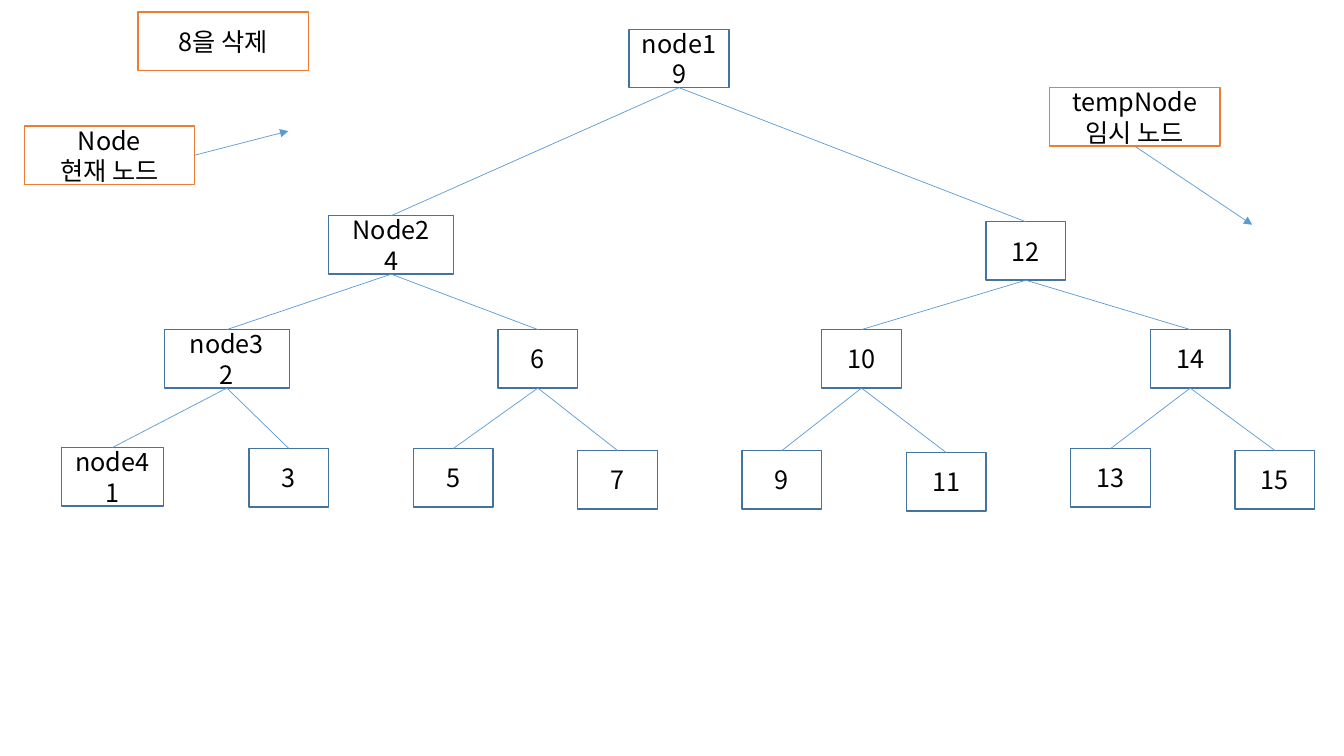
from dataclasses import dataclass

from lxml import etree
from pptx import Presentation
from pptx.dml.color import RGBColor
from pptx.enum.shapes import MSO_CONNECTOR, MSO_SHAPE
from pptx.enum.text import MSO_ANCHOR, PP_ALIGN
from pptx.oxml.ns import qn
from pptx.util import Inches, Pt

RECTANGLE = MSO_SHAPE.RECTANGLE
STRAIGHT = MSO_CONNECTOR.STRAIGHT
MIDDLE = MSO_ANCHOR.MIDDLE
CENTER = PP_ALIGN.CENTER
TOP_SITE, BOTTOM_SITE, RIGHT_SITE = 0, 2, 3


@dataclass(frozen=True)
class Theme:
    font: str = "Noto Sans CJK KR"
    text_size: float = 18
    box_line_width: float = 1
    link_width: float = 0.5
    text: str = "000000"
    box_fill: str = "FFFFFF"
    node_line: str = "43739E"
    label_line: str = "ED7D31"
    link: str = "5B9BD5"


THEME = Theme()
BOX_HEIGHT = 0.58
NODE_WIDTH = 0.79
LABEL_WIDTH = 1.69

# Level order: the children of entry i are entries 2i + 1 and 2i + 2.
TREE_NODES = [
    ("node1\n9", 6.24, 0.29, 0.99),
    ("Node2\n4", 3.26, 2.14, 1.24),
    ("12", 9.78, 2.2, NODE_WIDTH),
    ("node3\n2", 1.63, 3.27, 1.24),
    ("6", 4.94, 3.27, NODE_WIDTH),
    ("10", 8.15, 3.27, NODE_WIDTH),
    ("14", 11.41, 3.27, NODE_WIDTH),
    ("node4\n1", 0.61, 4.44, 1.01),
    ("3", 2.47, 4.45, NODE_WIDTH),
    ("5", 4.1, 4.45, NODE_WIDTH),
    ("7", 5.73, 4.47, NODE_WIDTH),
    ("9", 7.36, 4.47, NODE_WIDTH),
    ("11", 8.99, 4.49, NODE_WIDTH),
    ("13", 10.62, 4.45, NODE_WIDTH),
    ("15", 12.25, 4.47, NODE_WIDTH),
]
TASK_LABEL = ("8을 삭제", 1.37, 0.12)
POINTER_LABELS = [
    ("Node\n현재 노드", 0.24, 1.25, RIGHT_SITE, (2.86, 1.3)),
    ("tempNode\n임시 노드", 10.41, 0.87, BOTTOM_SITE, (12.42, 2.23)),
]


def add_box(slide, text, left, top, width, line_color):
    shape = slide.shapes.add_shape(
        RECTANGLE, Inches(left), Inches(top), Inches(width), Inches(BOX_HEIGHT)
    )
    shape.shadow.inherit = False
    shape.fill.solid()
    shape.fill.fore_color.rgb = RGBColor.from_string(THEME.box_fill)
    shape.line.color.rgb = RGBColor.from_string(line_color)
    shape.line.width = Pt(THEME.box_line_width)
    text_frame = shape.text_frame
    text_frame.word_wrap = True
    text_frame.vertical_anchor = MIDDLE
    text_frame.text = text
    for paragraph in text_frame.paragraphs:
        paragraph.alignment = CENTER
        for run in paragraph.runs:
            run.font.name = THEME.font
            run.font.size = Pt(THEME.text_size)
            run.font.color.rgb = RGBColor.from_string(THEME.text)
            east_asian = etree.SubElement(run._r.get_or_add_rPr(), qn("a:ea"))
            east_asian.set("typeface", THEME.font)
    return shape


def add_link(slide, start_box, start_site, end=(0, 0)):
    end_x, end_y = end
    connector = slide.shapes.add_connector(
        STRAIGHT, 0, 0, Inches(end_x), Inches(end_y)
    )
    connector.begin_connect(start_box, start_site)
    connector.line.color.rgb = RGBColor.from_string(THEME.link)
    connector.line.width = Pt(THEME.link_width)
    etree.SubElement(connector._element.spPr, qn("a:effectLst"))
    return connector


def add_tree(slide):
    boxes = [add_box(slide, *node, THEME.node_line) for node in TREE_NODES]
    for index, child in enumerate(boxes[1:], start=1):
        parent = boxes[(index - 1) // 2]
        add_link(slide, parent, BOTTOM_SITE).end_connect(child, TOP_SITE)


def add_labels(slide):
    add_box(slide, *TASK_LABEL, LABEL_WIDTH, THEME.label_line)
    for text, left, top, site, target in POINTER_LABELS:
        box = add_box(slide, text, left, top, LABEL_WIDTH, THEME.label_line)
        arrow = add_link(slide, box, site, target)
        line = arrow.line._get_or_add_ln()
        etree.SubElement(line, qn("a:tailEnd")).set("type", "triangle")


def main():
    presentation = Presentation()
    presentation.slide_width = Inches(13.33)
    presentation.slide_height = Inches(7.5)
    slide = presentation.slides.add_slide(presentation.slide_layouts[6])
    add_tree(slide)
    add_labels(slide)
    presentation.save("out.pptx")


if __name__ == "__main__":
    main()
